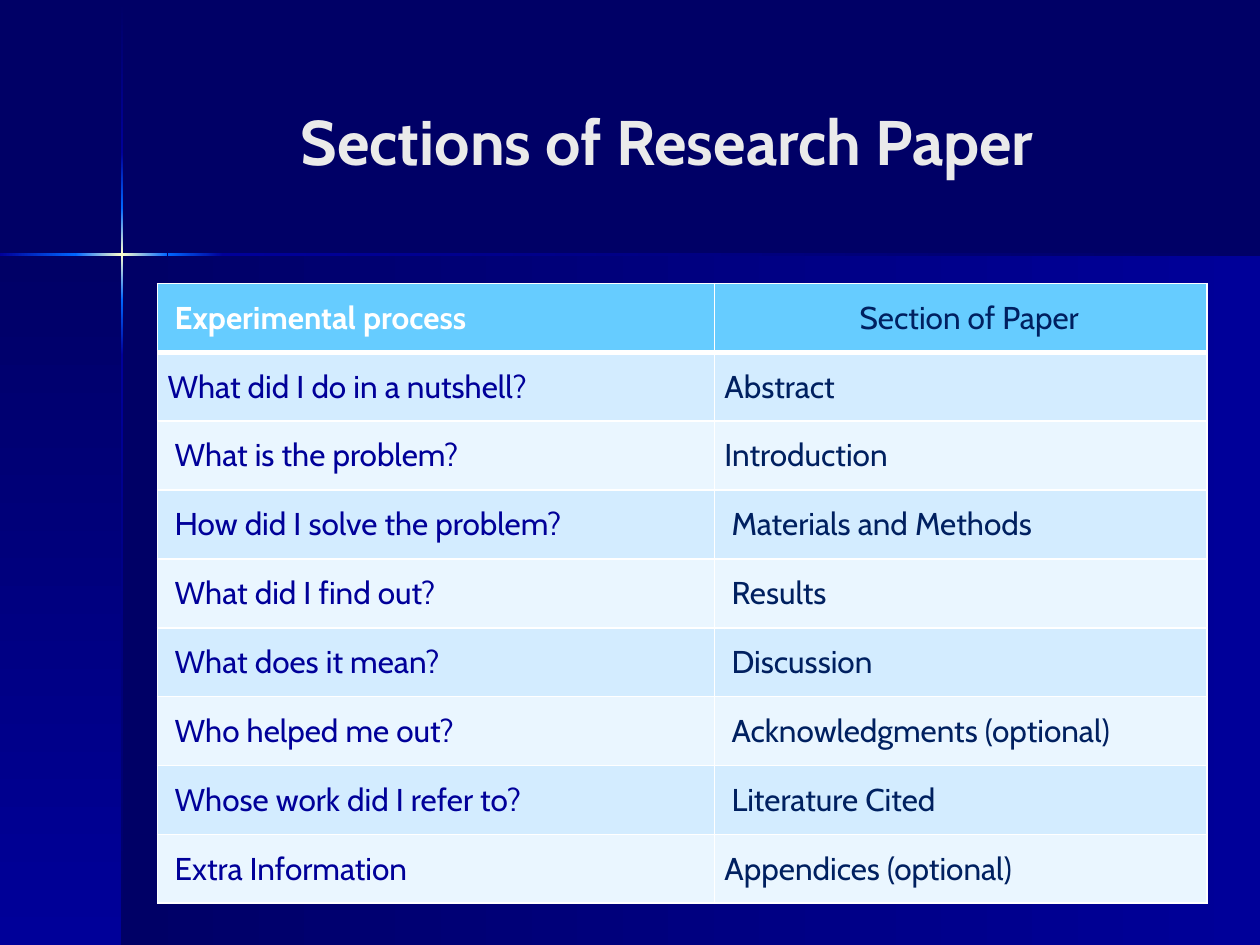
from dataclasses import dataclass
from itertools import pairwise

from lxml import etree
from pptx import Presentation
from pptx import util as u
from pptx.dml.color import RGBColor
from pptx.enum import shapes, text
from pptx.oxml import ns

FONT = "Cabin"
NIGHT, NAVY, BLUE, GLOW = "000066", "000099", "0066FF", "FFFFCC"
WHITE, INK, HEADER = "FFFFFF", "002060", "66CCFF"
BANDS = ("D3ECFF", "EAF6FF")
FLARE = (BLUE, GLOW, BLUE)
BEAM = 0.02

# Question and matching section; a leading no-break space insets a label
ROWS = [
    ("What did I do in a nutshell?", "Abstract"),
    (" What is the problem?", "Introduction"),
    (" How did I solve the problem?", " Materials and Methods"),
    (" What did I find out?", " Results"),
    (" What does it mean?", " Discussion"),
    (" Who helped me out?", " Acknowledgments (optional)"),
    (" Whose work did I refer to?", " Literature Cited"),
    (" Extra Information", "Appendices (optional)"),
]


@dataclass
class Panel:
    left: float
    top: float
    width: float
    height: float
    colors: tuple[str, ...]
    angle: int


def rgb(value: str) -> RGBColor:
    return RGBColor.from_string(value)


def add_solid(parent, color: str) -> None:
    fill = etree.SubElement(parent, ns.qn("a:solidFill"))
    etree.SubElement(fill, ns.qn("a:srgbClr"), val=color)


def draw_panel(slide, panel: Panel) -> None:
    """Draw a borderless rectangle with evenly spaced gradient stops."""
    box = [u.Inches(v) for v in (panel.left, panel.top, panel.width, panel.height)]
    shape = slide.shapes.add_shape(shapes.MSO_SHAPE.RECTANGLE, *box)
    shape.shadow.inherit = False
    shape.line.fill.background()
    shape.fill.gradient()
    gradient = shape.fill._xPr.find(ns.qn("a:gradFill"))
    for child in list(gradient):
        gradient.remove(child)
    stops = etree.SubElement(gradient, ns.qn("a:gsLst"))
    for index, color in enumerate(panel.colors):
        position = 100000 * index // (len(panel.colors) - 1)
        stop = etree.SubElement(stops, ns.qn("a:gs"), pos=str(position))
        etree.SubElement(stop, ns.qn("a:srgbClr"), val=color)
    etree.SubElement(gradient, ns.qn("a:lin"), ang=str(panel.angle * 60000), scaled="0")


def beam_panels(edges: list[float], colors: list[tuple[str, ...]],
                offset: float, vertical: bool) -> list[Panel]:
    """Split a thin beam at its edges, one gradient per segment."""
    panels = []
    for (start, end), segment in zip(pairwise(edges), colors):
        if vertical:
            panels.append(Panel(offset, start, BEAM, end - start, segment, 90))
        else:
            panels.append(Panel(start, offset, end - start, BEAM, segment, 0))
    return panels


def write_text(paragraph, content: str, *, size: float, color: str,
               bold: bool = False, align=text.PP_ALIGN.LEFT) -> None:
    paragraph.alignment = align
    run = paragraph.add_run()
    run.text = content
    run.font.name = FONT
    run.font.size = u.Pt(size)
    run.font.bold = bold
    run.font.color.rgb = rgb(color)


def format_cell(cell, fill: str, bottom_width: float) -> None:
    cell.vertical_anchor = text.MSO_ANCHOR.MIDDLE
    cell.margin_left = u.Inches(0.08)
    cell.margin_top = cell.margin_right = cell.margin_bottom = 0
    properties = cell._tc.get_or_add_tcPr()
    widths = {"a:lnL": 1, "a:lnR": 1, "a:lnT": 1, "a:lnB": bottom_width}
    for tag, width in widths.items():
        line = etree.SubElement(properties, ns.qn(tag), w=str(u.Pt(width)))
        add_solid(line, WHITE)
    add_solid(properties, fill)


def draw_table(slide) -> None:
    frame = slide.shapes.add_table(len(ROWS) + 1, 2, u.Inches(1.25), u.Inches(2.25),
                                   u.Inches(8.33), u.Inches(4.92))
    table = frame.table
    for column, width in zip(table.columns, (4.42, 3.91)):
        column.width = u.Inches(width)

    # Header row
    process, section = table.cell(0, 0), table.cell(0, 1)
    for cell in (process, section):
        format_cell(cell, HEADER, 3)
    write_text(process.text_frame.paragraphs[0], " Experimental process",
               size=18, color=WHITE, bold=True)
    write_text(section.text_frame.paragraphs[0], " Section of Paper",
               size=18, color=INK, align=text.PP_ALIGN.CENTER)

    # Banded body rows
    for row, labels in enumerate(ROWS, start=1):
        for column, (label, color) in enumerate(zip(labels, (NAVY, INK))):
            cell = table.cell(row, column)
            format_cell(cell, BANDS[(row - 1) % 2], 1)
            # The header's thick rule is shared with the first body row
            if row == 1:
                cell._tc.tcPr.find(ns.qn("a:lnT")).set("w", str(u.Pt(3)))
            write_text(cell.text_frame.paragraphs[0], label, size=18, color=color)


def draw_title(slide) -> None:
    title = slide.shapes.title
    title.left, title.top = u.Inches(1.17), u.Inches(0.33)
    title.width, title.height = u.Inches(8.25), u.Inches(1.57)
    title.text_frame.vertical_anchor = text.MSO_ANCHOR.MIDDLE
    write_text(title.text_frame.paragraphs[0], "Sections of Research Paper",
               size=36, color="EAEAEA", bold=True, align=text.PP_ALIGN.CENTER)


def main() -> None:
    presentation = Presentation()
    presentation.slide_width, presentation.slide_height = u.Inches(10), u.Inches(7.5)
    slide = presentation.slides.add_slide(presentation.slide_layouts[5])
    slide.background.fill.solid()
    slide.background.fill.fore_color.rgb = rgb(NIGHT)

    # Background panels and the crossing light beams
    panels = [
        Panel(0.97, 2.02, 9.03, 5.48, (NIGHT, NAVY), 0),
        Panel(0, 2.02, 0.97, 5.48, (NIGHT, NAVY), 90),
    ]
    fade_in, fade_out = (NAVY, BLUE), (BLUE, NAVY)
    panels += beam_panels([0.01, 1.21, 1.65, 2.38, 2.82, 7.5],
                          [(NIGHT, NAVY), fade_in, FLARE, fade_out, (NAVY, NIGHT)],
                          0.96, vertical=True)
    panels += beam_panels([0, 0.6, 1.33, 1.77, 10],
                          [fade_in, FLARE, fade_out, (NAVY, NIGHT)],
                          2.01, vertical=False)
    for panel in panels:
        draw_panel(slide, panel)

    draw_title(slide)
    draw_table(slide)
    presentation.save("out.pptx")


if __name__ == "__main__":
    main()
